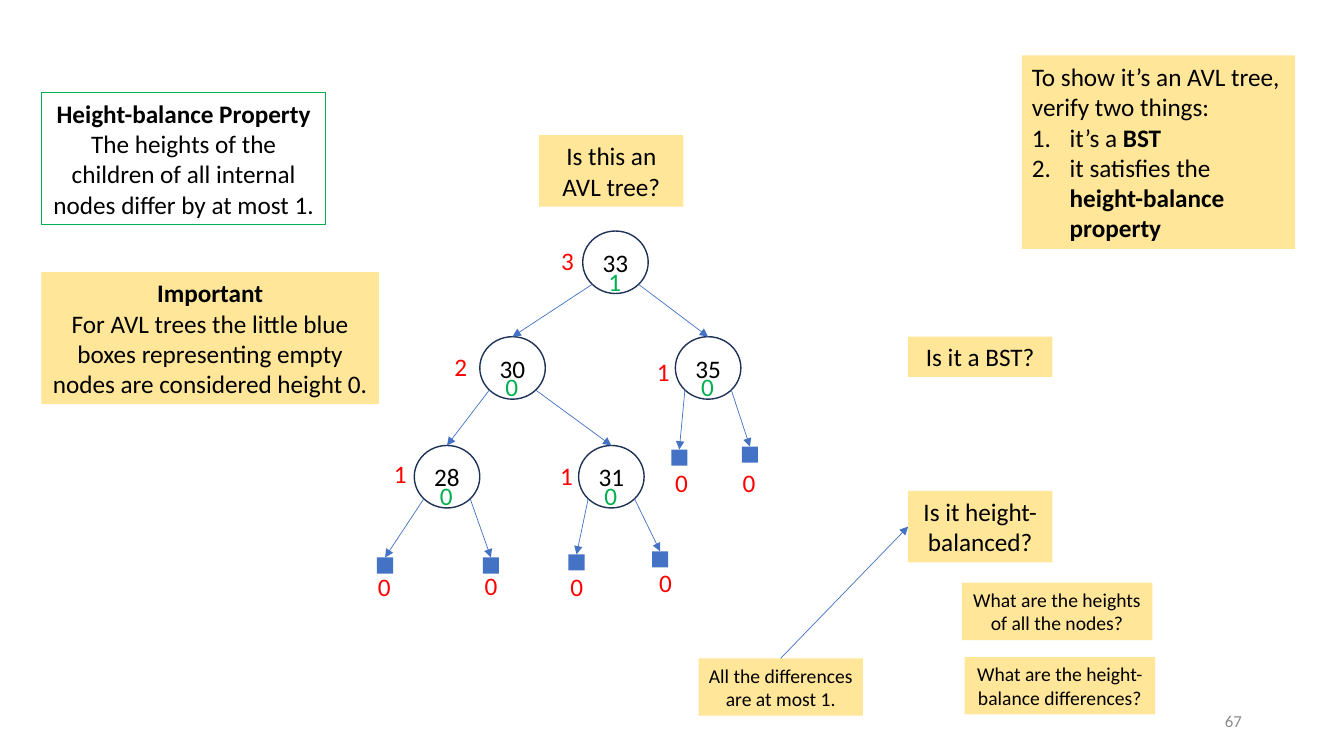
from pptx import Presentation, util as u
from pptx.dml.color import RGBColor
from pptx.enum import shapes, text
from pptx.oxml.ns import qn
from lxml import etree

BLACK = RGBColor(0x00, 0x00, 0x00)
YELLOW = RGBColor(0xFF, 0xE6, 0x99)
GREEN = RGBColor(0x00, 0xB0, 0x50)
RED = RGBColor(0xFF, 0x00, 0x00)
BLUE = RGBColor(0x44, 0x72, 0xC4)
NAVY = RGBColor(0x1E, 0x32, 0x56)
GREY = RGBColor(0x8C, 0x8C, 0x8C)

FONT = "Calibri"
NODE_W, NODE_H = 46.8, 44.64
LEAF = 11.52
LABEL_W, LABEL_H = 23.76, 28.8
DIFF_DX, DIFF_DY = 11.3, 21.5  # balance difference, from the node's corner
SITE_X, SITE_Y = 6.85, 38.1  # lower left rim of a node at 45 degrees
INDENT = 27

# Tree nodes: left, top, height, height label (left, top), balance difference
NODES = {
    "33": (416.2, 165, "3", (393.8, 172), "1"),
    "30": (342.7, 240.5, "2", (317.5, 247.7), "0"),
    "35": (482.4, 240.5, "1", (462.2, 251.3), "0"),
    "28": (295.9, 318.2, "1", (274.3, 324), "0"),
    "31": (413.3, 318.2, "1", (393.1, 325.4), "0"),
}
# Empty nodes: left, top, height label (left, top)
LEAVES = {
    "28 left": (269.3, 398.2, (262.8, 404.6)),
    "28 right": (344.9, 398.2, (339.1, 404)),
    "31 left": (406.1, 396, (400.3, 404.6)),
    "31 right": (465.8, 393.8, (463.7, 401.8)),
    "35 left": (479.5, 321.1, (475.2, 330.5)),
    "35 right": (529.9, 319, (523.4, 330.5)),
}
# Parent: left child, right child
CHILDREN = {
    "33": ("30", "35"),
    "30": ("28", "31"),
    "35": ("35 left", "35 right"),
    "28": ("28 left", "28 right"),
    "31": ("31 left", "31 right"),
}
# Notes: left, top, width, height, text size, paragraphs of (text, bold) spans
NOTES = {
    "question": (385.2, 96.5, 103, 51.1, 18, [[("Is this an AVL tree?", False)]]),
    "important": (29.5, 194.4, 241.2, 94.3, 18, [
        [("Important", True)],
        [("For AVL trees the little blue boxes representing empty "
          "nodes are considered height 0.", False)]]),
    "property": (30, 66.2, 202.5, 94.3, 18, [
        [("Height-balance Property", True)],
        [("The heights of the children of all internal nodes "
          "differ by at most 1.", False)]]),
    "steps": (730, 39.6, 195.1, 138.2, 18, [
        [("To show it’s an AVL tree, verify two things:", False)],
        [("it’s a ", False), ("BST", True)],
        [("it satisfies the ", False), ("height-balance property", True)]]),
    "search tree": (648.7, 240.5, 103, 28.8, 18, [[("Is it a BST?", False)]]),
    "balanced": (648.7, 350.6, 103, 51.1, 18, [[("Is it height-balanced?", False)]]),
    "answer": (499, 470.2, 117.4, 41, 14,
               [[("All the differences are at most 1.", False)]]),
    "heights": (687, 416.2, 136.1, 41, 14,
                [[("What are the heights of all the nodes?", False)]]),
    "differences": (689, 469.4, 136.1, 41, 14,
                    [[("What are the height-balance differences?", False)]]),
}

deck = Presentation()
deck.slide_width, deck.slide_height = u.Pt(960), u.Pt(540)
page = deck.slides.add_slide(deck.slide_layouts[6])


def style(font, size, color, bold=False):
    font.name, font.size, font.bold = FONT, u.Pt(size), bold
    font.color.rgb = color


def add_box(kind, left, top, width, height, fill=None, line=None, weight=1):
    box = page.shapes.add_shape(kind, u.Pt(left), u.Pt(top), u.Pt(width), u.Pt(height))
    box.shadow.inherit = False
    if fill is None:
        box.fill.background()
    else:
        box.fill.solid()
        box.fill.fore_color.rgb = fill
    if line is None:
        box.line.fill.background()
    else:
        box.line.color.rgb = line
        box.line.width = u.Pt(weight)
    return box


def add_label(words, left, top, color, width=LABEL_W, size=18):
    box = page.shapes.add_textbox(u.Pt(left), u.Pt(top), u.Pt(width), u.Pt(LABEL_H))
    box.text_frame.word_wrap = False
    box.text_frame.text = words
    style(box.text_frame.paragraphs[0].runs[0].font, size, color)
    return box


def add_arrow(start_x, start_y, target, site):
    arrow = page.shapes.add_connector(
        shapes.MSO_CONNECTOR.STRAIGHT, u.Pt(start_x), u.Pt(start_y), target.left, target.top)
    arrow.end_connect(target, site)
    arrow.line.color.rgb = BLUE
    arrow.line.width = u.Pt(0.5)
    etree.SubElement(arrow.line._get_or_add_ln(), qn("a:tailEnd"), type="triangle")
    etree.SubElement(arrow._element.spPr, qn("a:effectLst"))
    return arrow


def add_number(para):
    props = para._p.get_or_add_pPr()
    props.set("marL", str(u.Pt(INDENT)))
    props.set("indent", str(-u.Pt(INDENT)))
    etree.SubElement(props, qn("a:buFont"), typeface="+mj-lt")
    etree.SubElement(props, qn("a:buAutoNum"), type="arabicPeriod")


# Nodes and empty nodes
tree = {}
for key, (left, top, *_) in NODES.items():
    node = add_box(shapes.MSO_SHAPE.OVAL, left, top, NODE_W, NODE_H, line=NAVY)
    node.text_frame.word_wrap = False
    node.text_frame.text = key
    node.text_frame.paragraphs[0].alignment = text.PP_ALIGN.CENTER
    style(node.text_frame.paragraphs[0].runs[0].font, 18, BLACK)
    tree[key] = node
for key, (left, top, _) in LEAVES.items():
    tree[key] = add_box(shapes.MSO_SHAPE.RECTANGLE, left, top, LEAF, LEAF, fill=BLUE)

# Edges run from the lower rim of the parent to the top of the child
for parent, pair in CHILDREN.items():
    left, top = NODES[parent][:2]
    for child, offset in zip(pair, (SITE_X, NODE_W - SITE_X)):
        add_arrow(left + offset, top + SITE_Y, tree[child], 0)

# Heights in red, balance differences in green
for left, top, height, spot, difference in NODES.values():
    add_label(height, *spot, RED)
    add_label(difference, left + DIFF_DX, top + DIFF_DY, GREEN)
for _, _, spot in LEAVES.values():
    add_label("0", *spot, RED)

# Notes
notes = {}
for key, (left, top, width, height, size, paras) in NOTES.items():
    look = {"line": GREEN, "weight": 0.75} if key == "property" else {"fill": YELLOW}
    box = add_box(shapes.MSO_SHAPE.RECTANGLE, left, top, width, height, **look)
    frame = box.text_frame
    frame.word_wrap = True
    for index, spans in enumerate(paras):
        para = frame.add_paragraph() if index else frame.paragraphs[0]
        para.alignment = text.PP_ALIGN.LEFT if key == "steps" else text.PP_ALIGN.CENTER
        if key == "steps" and index:
            add_number(para)
        for words, bold in spans:
            span = para.add_run()
            span.text = words
            style(span.font, size, BLACK, bold)
    notes[key] = box

# Arrow from the answer to its question
answer = notes["answer"]
add_arrow(answer.left.pt, answer.top.pt, notes["balanced"], 1).begin_connect(answer, 0)

# Slide number
number = add_label("67", 678.2, 500.4, GREY, width=216, size=12)
number.text_frame.word_wrap = True
number.text_frame.vertical_anchor = text.MSO_ANCHOR.MIDDLE
number.text_frame.paragraphs[0].alignment = text.PP_ALIGN.RIGHT

deck.save("out.pptx")
